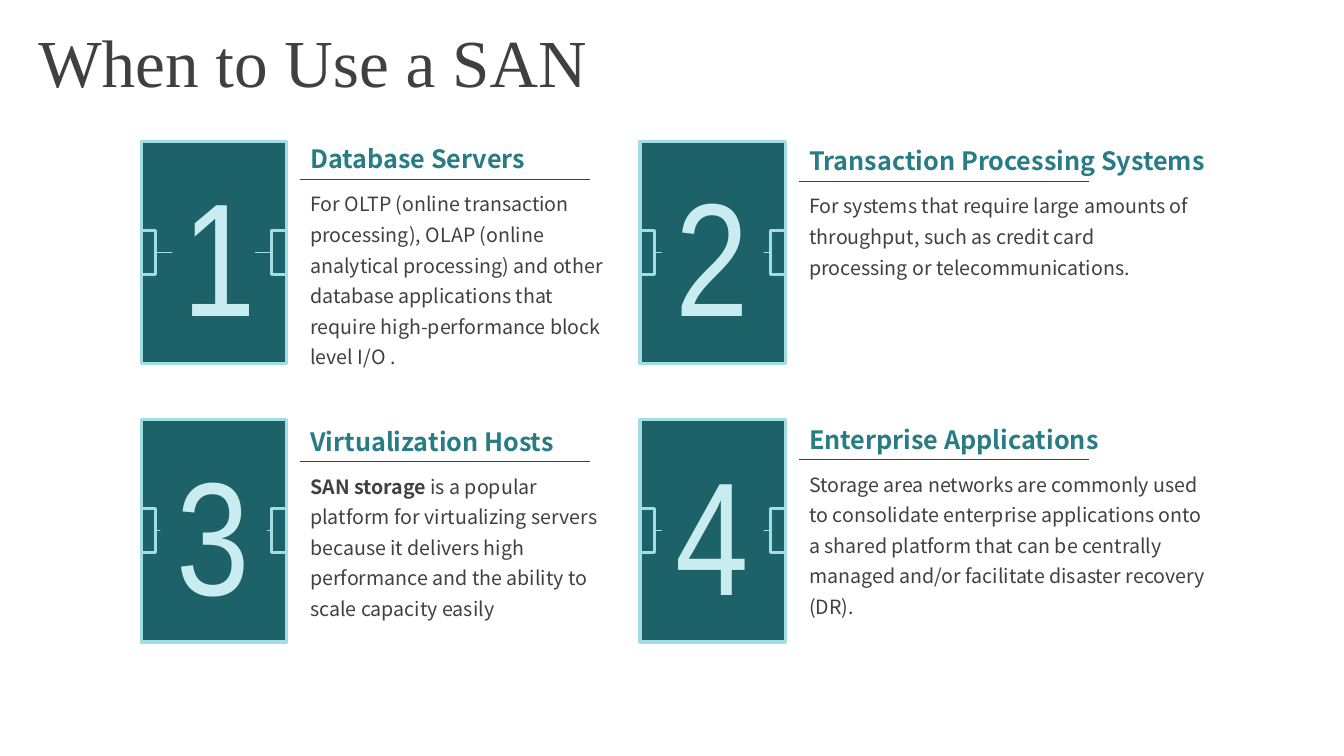
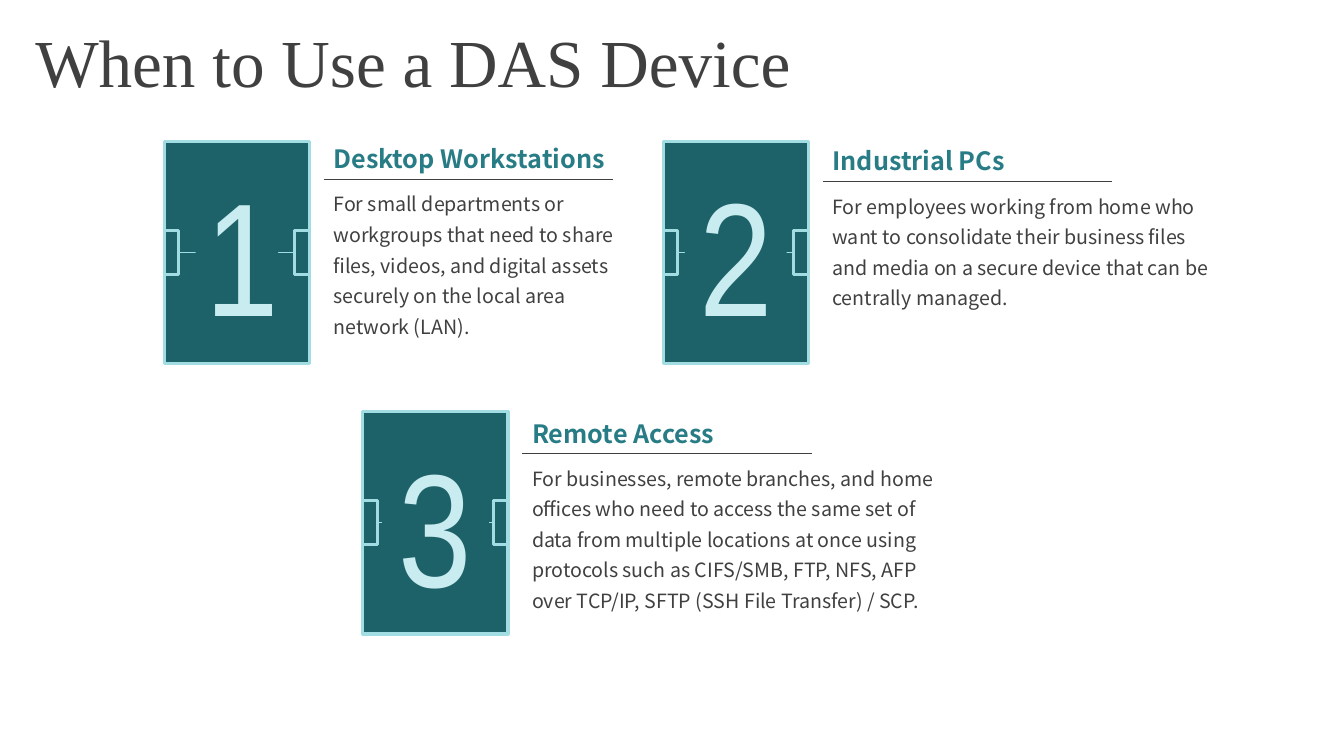
"""Build two slides of numbered cards on when to use SAN and DAS storage."""
from dataclasses import dataclass

from lxml import etree
from pptx import Presentation
from pptx import slide as sl
from pptx import util as u
from pptx.dml import color
from pptx.enum import shapes, text
from pptx.oxml import ns
from pptx.shapes import autoshape, shapetree as tree
from pptx.text import text as txt

COLUMNS, ROWS = 133.33, 75
CELL = u.Inches(0.1)
COLORS = {
    "ink": "404040",
    "heading": "277C85",
    "card": "1D6269",
    "edge": "A1DDE3",
    "digit": "C8ECF0",
}
TITLE_FONT, BODY_FONT, DIGIT_FONT = "Times New Roman", "Noto Sans CJK SC", "Arial Narrow"
CARD_WIDTH, CARD_HEIGHT = 14.4, 22.1
NOTCH_WIDTH, NOTCH_HEIGHT = 1.45, 4.4
DIGIT_HEIGHT = 20.4
DIGIT_WIDTHS = {1: 8.2, 2: 10.1, 3: 10.6, 4: 10.1}
TEXT_OFFSET, RULE_LENGTH = 15.8, 28.75
HEADING_HEIGHT, LINE_HEIGHT = 3.7, 3.05
CARD_PITCH, FIRST_ROW = 49.5, 14
SAN_LEFT, SAN_SECOND_ROW = 14, 41.6
DAS_LEFT, DAS_SECOND_ROW = 16.3, 40.8


@dataclass(frozen=True)
class Card:
    number: int
    left: float
    top: float
    rule_drop: float
    heading: str
    heading_width: float
    body: str
    body_width: float
    body_lines: int
    lead: str = ""


@dataclass(frozen=True)
class Page:
    title: str
    title_left: float
    title_width: float
    cards: tuple[Card, ...]


PAGES = (
    Page("When to Use a SAN", 2.8, 75.6, (
        Card(1, SAN_LEFT, FIRST_ROW, 3.8, "Database Servers", 23.9,
             "For OLTP (online transaction processing), OLAP (online analytical processing) "
             "and other database applications that require high-performance block level I/O .",
             32.1, 6),
        Card(2, SAN_LEFT + CARD_PITCH, FIRST_ROW, 4, "Transaction Processing Systems", 42,
             "For systems that require large amounts of throughput, such as credit card "
             "processing or telecommunications.", 39.9, 3),
        Card(3, SAN_LEFT, SAN_SECOND_ROW, 4.2, "Virtualization Hosts", 28.7,
             " is a popular platform for virtualizing servers because it delivers high "
             "performance and the ability to scale capacity easily", 32, 5, "SAN storage"),
        Card(4, SAN_LEFT + CARD_PITCH, SAN_SECOND_ROW, 4, "Enterprise Applications", 31.3,
             "Storage area networks are commonly used to consolidate enterprise applications "
             "onto a shared platform that can be centrally managed and/or facilitate disaster "
             "recovery (DR).", 41.5, 5),
    )),
    Page("When to Use a DAS Device", 2.5, 88.8, (
        Card(1, DAS_LEFT, FIRST_ROW, 3.8, "Desktop Workstations", 29.6,
             "For small departments or workgroups that need to share files, videos, and "
             "digital assets securely on the local area network (LAN).", 32.1, 5),
        Card(2, DAS_LEFT + CARD_PITCH, FIRST_ROW, 4, "Industrial PCs", 42,
             "For employees working from home who want to consolidate their business files "
             "and media on a secure device that can be centrally managed.", 39.9, 4),
        Card(3, 36, DAS_SECOND_ROW, 4.2, "Remote Access", 28.7,
             "For businesses, remote branches, and home offices who need to access the same "
             "set of data from multiple locations at once using protocols such as CIFS/SMB, "
             "FTP, NFS, AFP over TCP/IP, SFTP (SSH File Transfer) / SCP.", 44.3, 5),
    )),
)


def grid(*cells: float) -> list[int]:
    """Turn columns and rows into slide lengths."""
    return [round(cell * CELL) for cell in cells]


def rgb(name: str) -> color.RGBColor:
    """Look up a palette colour."""
    return color.RGBColor.from_string(COLORS[name])


def style(para: txt._Paragraph, font: str, size: float, ink: str, bold: bool = False) -> None:
    """Set the font of a whole paragraph."""
    para.font.name, para.font.size, para.font.bold = font, u.Pt(size), bold
    para.font.color.rgb = rgb(ink)


def add_line(group: tree.GroupShapes, left: float, top: float, length: float,
             ink: str, weight: float) -> None:
    """Draw a horizontal line without a shadow."""
    line = group.add_connector(shapes.MSO_CONNECTOR.STRAIGHT,
                               *grid(left, top, left + length, top))
    line.line.color.rgb = rgb(ink)
    line.line.width = u.Pt(weight)
    etree.SubElement(line._element.spPr, ns.qn("a:effectLst"))


def add_panel(group: tree.GroupShapes, kind: shapes.MSO_SHAPE, left: float, top: float,
              width: float, height: float, edged: bool = True) -> autoshape.Shape:
    """Draw a card-coloured shape, with or without an edge."""
    panel = group.add_shape(kind, *grid(left, top, width, height))
    panel.shadow.inherit = False
    panel.fill.solid()
    panel.fill.fore_color.rgb = rgb("card")
    if edged:
        panel.line.color.rgb = rgb("edge")
        panel.line.width = u.Pt(2.25)
    else:
        panel.line.fill.background()
    return panel


def add_text(group: tree.GroupShapes, left: float, top: float, width: float,
             height: float) -> txt._Paragraph:
    """Add a wrapping text box and return its paragraph."""
    box = group.add_textbox(*grid(left, top, width, height))
    box.text_frame.word_wrap = True
    box.text_frame.auto_size = text.MSO_AUTO_SIZE.SHAPE_TO_FIT_TEXT
    return box.text_frame.paragraphs[0]


def add_description(group: tree.GroupShapes, card: Card) -> None:
    """Draw the heading, rule and body text of a card."""
    left, rule = card.left + TEXT_OFFSET, card.top + card.rule_drop
    add_line(group, left, rule, RULE_LENGTH, "ink", 1)

    heading = add_text(group, left, rule - HEADING_HEIGHT, card.heading_width, HEADING_HEIGHT)
    heading.text = card.heading
    heading.alignment = text.PP_ALIGN.JUSTIFY
    heading.line_spacing, heading.space_before = 0.9, u.Pt(10)
    style(heading, BODY_FONT, 18, "heading", bold=True)

    body = add_text(group, left, rule + 0.1, card.body_width,
                    LINE_HEIGHT * card.body_lines + 1)
    if card.lead:
        span = body.add_run()
        span.text, span.font.bold = card.lead, True
    body.add_run().text = card.body
    body.line_spacing = 1.3
    style(body, BODY_FONT, 14, "ink")


def add_badge(group: tree.GroupShapes, card: Card) -> None:
    """Draw the numbered panel of a card."""
    middle = card.top + CARD_HEIGHT / 2
    outline = add_panel(group, shapes.MSO_SHAPE.ROUNDED_RECTANGLE, card.left, card.top,
                        CARD_WIDTH, CARD_HEIGHT)
    outline.adjustments[0] = 0
    for shift in (0, CARD_WIDTH - NOTCH_WIDTH):
        add_panel(group, shapes.MSO_SHAPE.RECTANGLE, card.left + shift,
                  middle - NOTCH_HEIGHT / 2, NOTCH_WIDTH, NOTCH_HEIGHT)
    add_line(group, card.left + NOTCH_WIDTH, middle, CARD_WIDTH - 2 * NOTCH_WIDTH, "edge", 0.75)

    width = DIGIT_WIDTHS[card.number]
    digit = add_panel(group, shapes.MSO_SHAPE.RECTANGLE, card.left + (CARD_WIDTH - width) / 2,
                      middle - DIGIT_HEIGHT / 2, width, DIGIT_HEIGHT, edged=False)
    digit.text_frame.word_wrap = False
    digit.text_frame.auto_size = text.MSO_AUTO_SIZE.SHAPE_TO_FIT_TEXT
    para = digit.text_frame.paragraphs[0]
    para.text = str(card.number)
    para.alignment = text.PP_ALIGN.CENTER
    style(para, DIGIT_FONT, 115, "digit")


def add_title(slide: sl.Slide, page: Page) -> None:
    """Place and format the title placeholder."""
    title = slide.shapes.title
    title.left, title.top, title.width, title.height = grid(
        page.title_left, 2.4, page.title_width, 8.3)
    title.text_frame.auto_size = text.MSO_AUTO_SIZE.SHAPE_TO_FIT_TEXT
    title.text_frame.vertical_anchor = text.MSO_ANCHOR.TOP
    para = title.text_frame.paragraphs[0]
    para.text = page.title
    para.alignment = text.PP_ALIGN.LEFT
    para.line_spacing = 0.9
    style(para, TITLE_FONT, 48, "ink")


def main() -> None:
    """Build and save the deck."""
    deck = Presentation()
    deck.slide_width, deck.slide_height = grid(COLUMNS, ROWS)
    title_only = deck.slide_layouts.get_by_name("Title Only")
    for page in PAGES:
        slide = deck.slides.add_slide(title_only)
        add_title(slide, page)
        for card in page.cards:
            add_description(slide.shapes.add_group_shape().shapes, card)
            add_badge(slide.shapes.add_group_shape().shapes, card)
    deck.save("out.pptx")


main()
